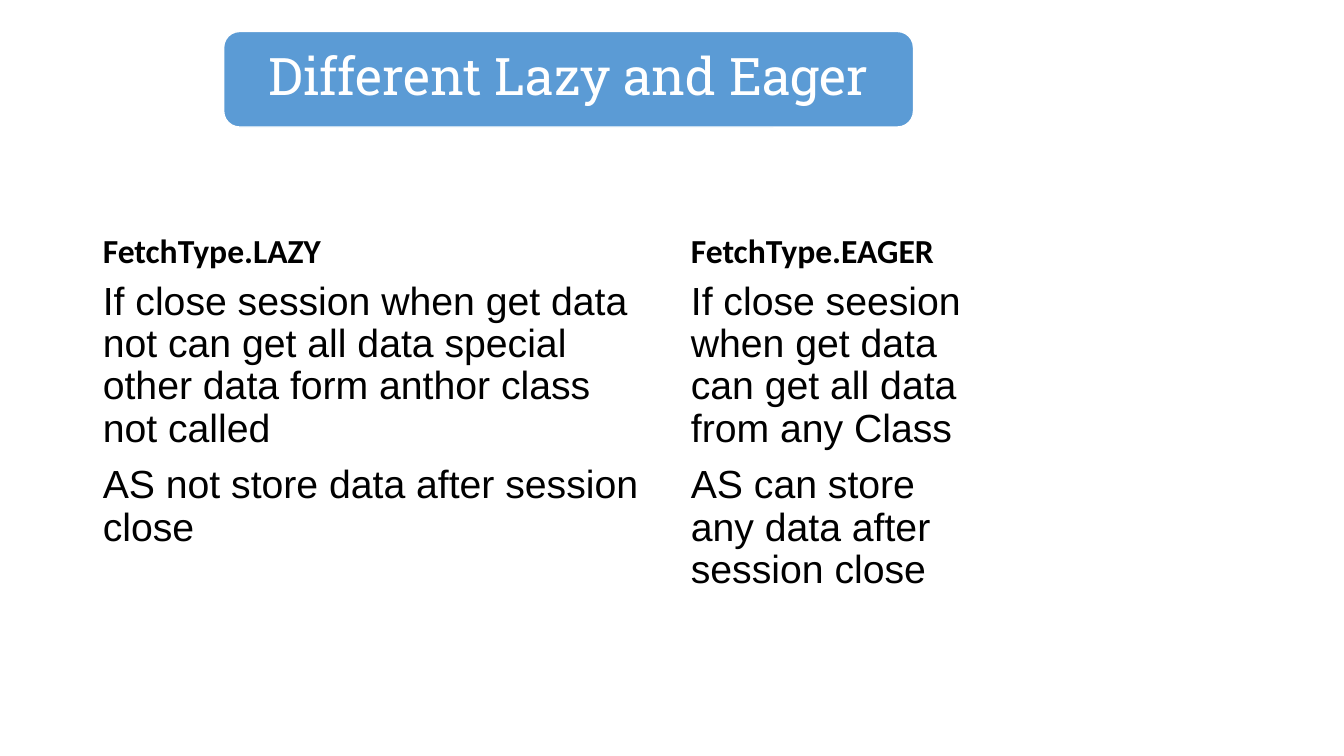
from dataclasses import dataclass

from pptx import Presentation
from pptx.dml.color import RGBColor
from pptx.enum.shapes import MSO_SHAPE
from pptx.enum.text import MSO_ANCHOR, PP_ALIGN
from pptx.util import Emu, Pt

ROUNDED = MSO_SHAPE.ROUNDED_RECTANGLE
TOP, BOTTOM = MSO_ANCHOR.TOP, MSO_ANCHOR.BOTTOM
LEFT, CENTER = PP_ALIGN.LEFT, PP_ALIGN.CENTER
EMU_PER_PX = 9525


@dataclass(frozen=True)
class TextStyle:
    font: dict
    color: RGBColor
    paragraph: dict


@dataclass(frozen=True)
class Theme:
    banner = RGBColor(0x5B, 0x9B, 0xD5)
    white = RGBColor(0xFF, 0xFF, 0xFF)
    black = RGBColor(0x00, 0x00, 0x00)
    spaced = {"alignment": LEFT, "line_spacing": 0.9, "space_before": Pt(10)}
    title = TextStyle({"name": "Roboto Slab", "size": Pt(37)}, white,
                      {"alignment": CENTER, "line_spacing": 0.9})
    heading = TextStyle({"name": "Calibri", "size": Pt(24), "bold": True}, black, spaced)
    body = TextStyle({"name": "Arial", "size": Pt(28)}, black, spaced)


THEME = Theme()


def px(*lengths):
    return [Emu(length * EMU_PER_PX) for length in lengths]


def set_attributes(target, values):
    for name, value in values.items():
        setattr(target, name, value)


def add_text(shapes, box, lines, style, anchor=TOP, margins=(10, 5), columns=1):
    frame = shapes.add_textbox(*px(*box)).text_frame
    side, end = px(*margins)
    set_attributes(frame, {"word_wrap": True, "vertical_anchor": anchor,
                           "margin_left": side, "margin_right": side,
                           "margin_top": end, "margin_bottom": end})
    if columns > 1:
        frame._txBody.bodyPr.set("numCol", str(columns))
    for index, line in enumerate(lines):
        paragraph = frame.paragraphs[0] if index == 0 else frame.add_paragraph()
        set_attributes(paragraph, style.paragraph)
        run = paragraph.add_run()
        run.text = line
        set_attributes(run.font, style.font)
        run.font.color.rgb = style.color


def add_banner(slide, box, title):
    left, top, width, height = box
    group = slide.shapes.add_group_shape()
    # Rounded plate
    plate = group.shapes.add_shape(ROUNDED, *px(*box))
    plate.shadow.inherit = False
    plate.fill.solid()
    plate.fill.fore_color.rgb = THEME.banner
    plate.line.color.rgb = THEME.white
    plate.line.width = Pt(1)
    # Title inside the plate
    inset = 5
    text_box = (left + inset, top + inset, width - 2 * inset, height - 2 * inset)
    add_text(group.shapes, text_box, [title], THEME.title, BOTTOM, (14, 14))


def add_comparison(slide, box, heading, lines, columns=1):
    left, top, width, height = box
    heading_height = 86
    # Heading sits on top of the body
    add_text(slide.shapes, (left, top, width, heading_height), [heading],
             THEME.heading, BOTTOM)
    add_text(slide.shapes, (left, top + heading_height, width, height - heading_height),
             lines, THEME.body, columns=columns)


def main():
    presentation = Presentation()
    presentation.slide_width, presentation.slide_height = px(1280, 720)
    slide = presentation.slides.add_slide(presentation.slide_layouts[6])

    # Left and right comparison
    add_comparison(slide, (88, 177, 541, 473), "FetchType.LAZY", [
        "If close session when get data not can get all data special "
        "other data form anthor class not called",
        "AS not store data after session close",
    ])
    add_comparison(slide, (648, 177, 544, 473), "FetchType.EAGER", [
        "If close seesion when get data can get all data from any Class",
        "AS can store any data after session close",
    ], columns=2)

    # Title banner
    add_banner(slide, (213, 30, 657, 91), "Different Lazy and Eager")

    presentation.save("out.pptx")


if __name__ == "__main__":
    main()
